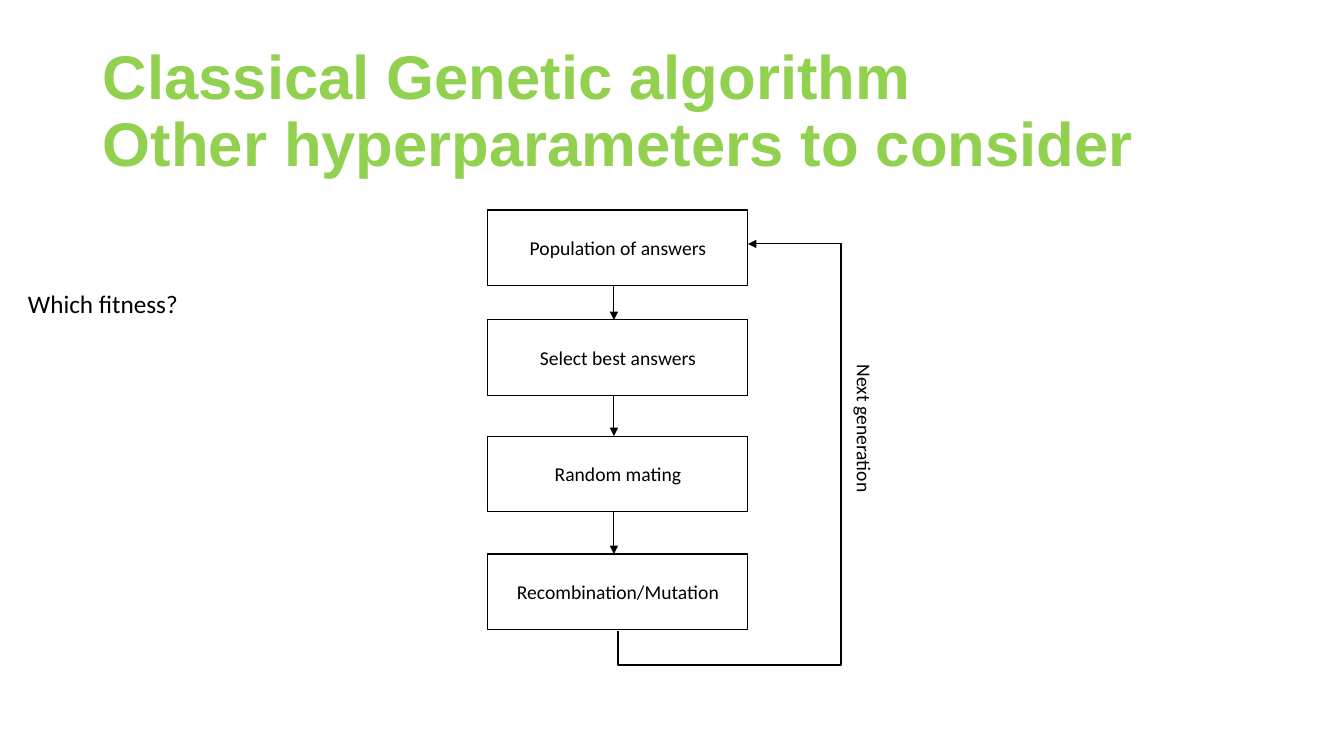
from pptx import Presentation
from pptx.dml.color import RGBColor
from pptx.enum.shapes import MSO_CONNECTOR, MSO_SHAPE
from pptx.enum.text import MSO_ANCHOR, PP_ALIGN
from pptx.oxml.ns import qn
from pptx.util import Emu, Pt
from lxml.etree import SubElement

# Content
TITLE = "Classical Genetic algorithm\vOther hyperparameters to consider"
STEPS = [  # label, top
    ("Population of answers", 210),
    ("Select best answers", 320),
    ("Random mating", 436),
    ("Recombination/Mutation", 554),
]
LOOP_LABEL = "Next generation"
QUESTION = "Which fitness?"

# Geometry in px
PX = 914400 / 100.8
SLIDE_W, SLIDE_H = 1344, 756
BOX_X, BOX_W, BOX_H = 488, 260, 76
ARROW_X = 614
LOOP = [(618, 631), (618, 665), (841, 665), (841, 244), (BOX_X + BOX_W, 244)]

GREEN = RGBColor(0x92, 0xD0, 0x50)
BLACK = RGBColor(0, 0, 0)


def px(*values):
    return [Emu(round(v * PX)) for v in values]


def write(shape, text, size, font="Calibri", color=BLACK, bold=False, wrap=False):
    tf = shape.text_frame
    tf.word_wrap = wrap
    p = tf.paragraphs[0]
    p.text = text
    p.font.size, p.font.name, p.font.bold = Pt(size), font, bold
    p.font.color.rgb = color
    return tf


def outline(shape, arrow=False):
    shape.line.color.rgb = BLACK
    shape.line.width = Pt(0.75)
    if arrow:
        ln = shape._element.spPr.find(qn("a:ln"))
        SubElement(ln, qn("a:tailEnd"), type="triangle")


prs = Presentation()
prs.slide_width, prs.slide_height = px(SLIDE_W, SLIDE_H)
s = prs.slides.add_slide(prs.slide_layouts[6])

# Title
title = s.shapes.add_textbox(*px(93, 40, 1159, 146))
tf = write(title, TITLE, 44, "Arial", GREEN, bold=True, wrap=True)
tf.vertical_anchor = MSO_ANCHOR.MIDDLE
tf.paragraphs[0].line_spacing = 0.9

# Step boxes
for label, top in STEPS:
    box = s.shapes.add_shape(MSO_SHAPE.RECTANGLE, *px(BOX_X, top, BOX_W, BOX_H))
    box.shadow.inherit = False
    box.fill.background()
    outline(box)
    tf = write(box, label, 14)
    tf.vertical_anchor = MSO_ANCHOR.MIDDLE
    tf.paragraphs[0].alignment = PP_ALIGN.CENTER

# Arrows between consecutive boxes
for (_, top), (_, next_top) in zip(STEPS, STEPS[1:]):
    arrow = s.shapes.add_connector(
        MSO_CONNECTOR.STRAIGHT, *px(ARROW_X, top + BOX_H, ARROW_X, next_top))
    outline(arrow, arrow=True)
    SubElement(arrow._element.spPr, qn("a:effectLst"))

# Loop back to the population
builder = s.shapes.build_freeform(*LOOP[0], scale=PX)
builder.add_line_segments(LOOP[1:], close=False)
loop = builder.convert_to_shape()
loop.shadow.inherit = False
loop.fill.background()
outline(loop, arrow=True)

# Labels
loop_label = s.shapes.add_textbox(*px(786, 417, 158, 33))
loop_label.rotation = 90
write(loop_label, LOOP_LABEL, 14)
write(s.shapes.add_textbox(*px(18, 283, 172, 40)), QUESTION, 18)

prs.save("out.pptx")
